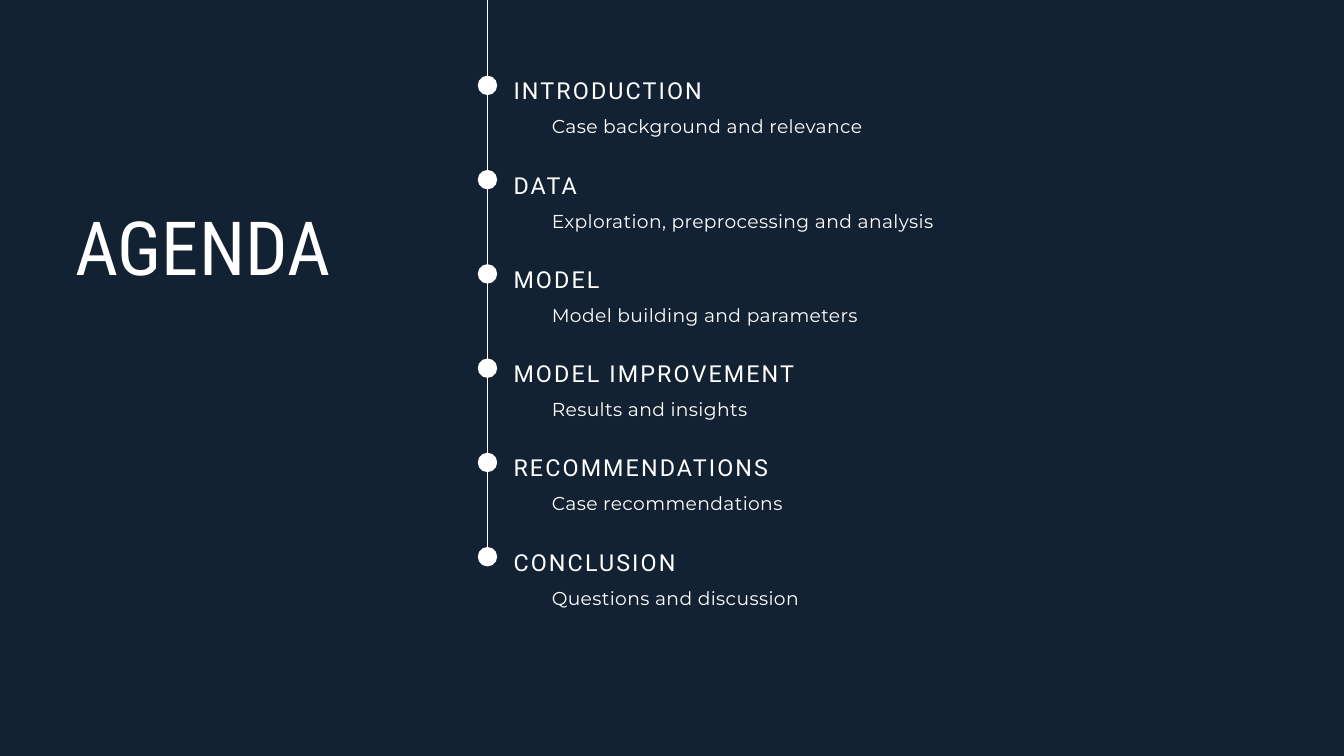
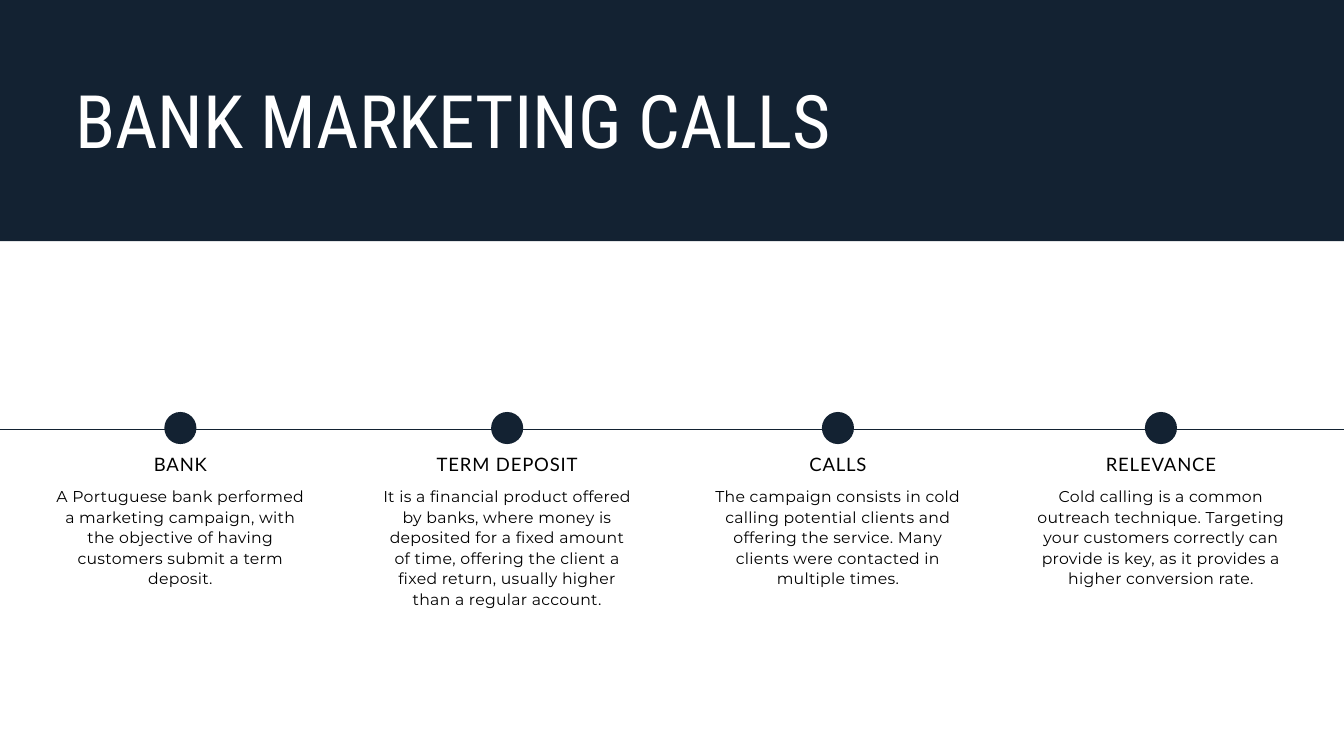
from collections import namedtuple

from lxml.etree import SubElement
from pptx import Presentation
from pptx.dml.color import RGBColor
from pptx.enum.shapes import MSO_CONNECTOR as CONNECTOR, MSO_SHAPE as SHAPE
from pptx.enum.text import MSO_ANCHOR as ANCHOR, MSO_AUTO_SIZE as AUTO_SIZE, PP_ALIGN as ALIGN
from pptx.oxml.ns import qn
from pptx.util import Pt

NAVY = RGBColor(0x13, 0x22, 0x32)
WHITE = RGBColor(0xFF, 0xFF, 0xFF)
BLACK = RGBColor(0x00, 0x00, 0x00)

WIDTH, HEIGHT = 1440, 810
MARGIN = 80.6

Style = namedtuple("Style", "font size leading tracking color align")
AGENDA_TITLE = Style("Roboto Condensed", 80, 92, 0, WHITE, ALIGN.LEFT)
CALLS_TITLE = AGENDA_TITLE._replace(size=79, leading=90.8)
TOPIC = Style("Roboto", 25, 36.2, 2.3, WHITE, ALIGN.LEFT)
DETAIL = Style("Montserrat", 20, 26.2, 0.4, WHITE, ALIGN.LEFT)
STAGE = Style("Lato", 19.8, 28.6, 0.9, BLACK, ALIGN.CENTER)
STORY = Style("Montserrat", 16.8, 22, 0.3, BLACK, ALIGN.CENTER)

AGENDA = [
    ("INTRODUCTION", "Case background and relevance"),
    ("DATA", "Exploration, preprocessing and analysis"),
    ("MODEL", "Model building and parameters"),
    ("MODEL IMPROVEMENT", "Results and insights"),
    ("RECOMMENDATIONS", "Case recommendations"),
    ("CONCLUSION", "Questions and discussion"),
]
CALLS = [
    (193.3, "BANK", "A Portuguese bank performed a marketing campaign, with the "
     "objective of having customers submit a term deposit."),
    (543.4, "TERM DEPOSIT", "It is a financial product offered by banks, where money is "
     "deposited for a fixed amount of time, offering the client a fixed return, usually "
     "higher than a regular account."),
    (897.8, "CALLS", "The campaign consists in cold calling potential clients and offering "
     "the service. Many clients were contacted in multiple times."),
    (1243.9, "RELEVANCE", "Cold calling is a common outreach technique. Targeting your "
     "customers correctly can provide is key, as it provides a higher conversion rate."),
]

AGENDA_AXIS, AGENDA_TOP, AGENDA_PITCH, AGENDA_DOT = 522.3, 91.5, 101, 20.8
TOPIC_LEFT, DETAIL_LEFT = 550.2, 591.2
BAND_HEIGHT, CALLS_AXIS, CALLS_DOT = 258.5, 460, 34.4
STAGE_WIDTH, STORY_WIDTH = 224.6, 271.4


def write(holder, text, style, left, top, width, height):
    """Place a text holder and give its text one style."""
    holder.left, holder.top, holder.width, holder.height = map(Pt, (left, top, width, height))
    frame = holder.text_frame
    frame.text = text
    frame.word_wrap = True
    frame.auto_size = AUTO_SIZE.NONE
    frame.vertical_anchor = ANCHOR.TOP
    frame.margin_left = frame.margin_top = frame.margin_right = frame.margin_bottom = 0
    paragraph = frame.paragraphs[0]
    paragraph.alignment = style.align
    paragraph.line_spacing = Pt(style.leading)
    run = paragraph.runs[0]
    run.font.name = style.font
    run.font.size = Pt(style.size)
    run.font.color.rgb = style.color
    run._r.get_or_add_rPr().set("spc", str(round(style.tracking * 100)))


def add_text(slide, text, style, left, top, width, height):
    """Add a text box in a style."""
    box = slide.shapes.add_textbox(0, 0, 0, 0)
    write(box, text, style, left, top, width, height)


def add_plain(slide, preset, color, left, top, width, height):
    """Add a flat shape without outline."""
    shape = slide.shapes.add_shape(preset, *map(Pt, (left, top, width, height)))
    shape.shadow.inherit = False
    shape.fill.solid()
    shape.fill.fore_color.rgb = color
    shape.line.fill.background()
    return shape


def add_dot(slide, color, x, y, size):
    """Add a timeline dot around its centre."""
    add_plain(slide, SHAPE.OVAL, color, x - size / 2, y - size / 2, size, size)


def add_axis(slide, color, *ends):
    """Add a thin timeline line."""
    axis = slide.shapes.add_connector(CONNECTOR.STRAIGHT, *map(Pt, ends))
    axis.line.color.rgb = color
    axis.line.width = Pt(0.75)
    SubElement(axis._element.spPr, qn("a:effectLst"))


def add_slide(deck, background):
    """Add a title-only slide on a plain background."""
    slide = deck.slides.add_slide(deck.slide_layouts[5])
    slide.background.fill.solid()
    slide.background.fill.fore_color.rgb = background
    return slide


def build_agenda(deck):
    """Build the vertical agenda."""
    slide = add_slide(deck, NAVY)
    write(slide.shapes.title, "AGENDA", AGENDA_TITLE, MARGIN, 219, 410, 92)
    last = AGENDA_TOP + AGENDA_PITCH * (len(AGENDA) - 1)
    add_axis(slide, WHITE, AGENDA_AXIS, 0, AGENDA_AXIS, last)
    for row, (topic, detail) in enumerate(AGENDA):
        y = AGENDA_TOP + row * AGENDA_PITCH
        add_dot(slide, WHITE, AGENDA_AXIS, y, AGENDA_DOT)
        add_text(slide, topic, TOPIC, TOPIC_LEFT, y - 15.7, 624, 35.3)
        add_text(slide, detail, DETAIL, DETAIL_LEFT, y + 29.7, 410, 24.5)


def build_calls(deck):
    """Build the horizontal timeline under a title band."""
    slide = add_slide(deck, WHITE)
    band = add_plain(slide, SHAPE.RECTANGLE, NAVY, 0, 0, WIDTH, BAND_HEIGHT)
    title = slide.shapes.title
    title._element.addprevious(band._element)
    write(title, "BANK MARKETING CALLS", CALLS_TITLE, MARGIN, 84.2, 1032, 91.4)
    add_axis(slide, NAVY, 0, CALLS_AXIS, WIDTH, CALLS_AXIS)
    for x, stage, story in CALLS:
        add_dot(slide, NAVY, x, CALLS_AXIS - 1.4, CALLS_DOT)
        add_text(slide, stage, STAGE, x - STAGE_WIDTH / 2, 480.2, STAGE_WIDTH, 31)
        add_text(slide, story, STORY, x - STORY_WIDTH / 2, 519.8, STORY_WIDTH, 130)


def main():
    """Build and save the deck."""
    deck = Presentation()
    deck.slide_width, deck.slide_height = Pt(WIDTH), Pt(HEIGHT)
    build_agenda(deck)
    build_calls(deck)
    deck.save("out.pptx")


if __name__ == "__main__":
    main()
